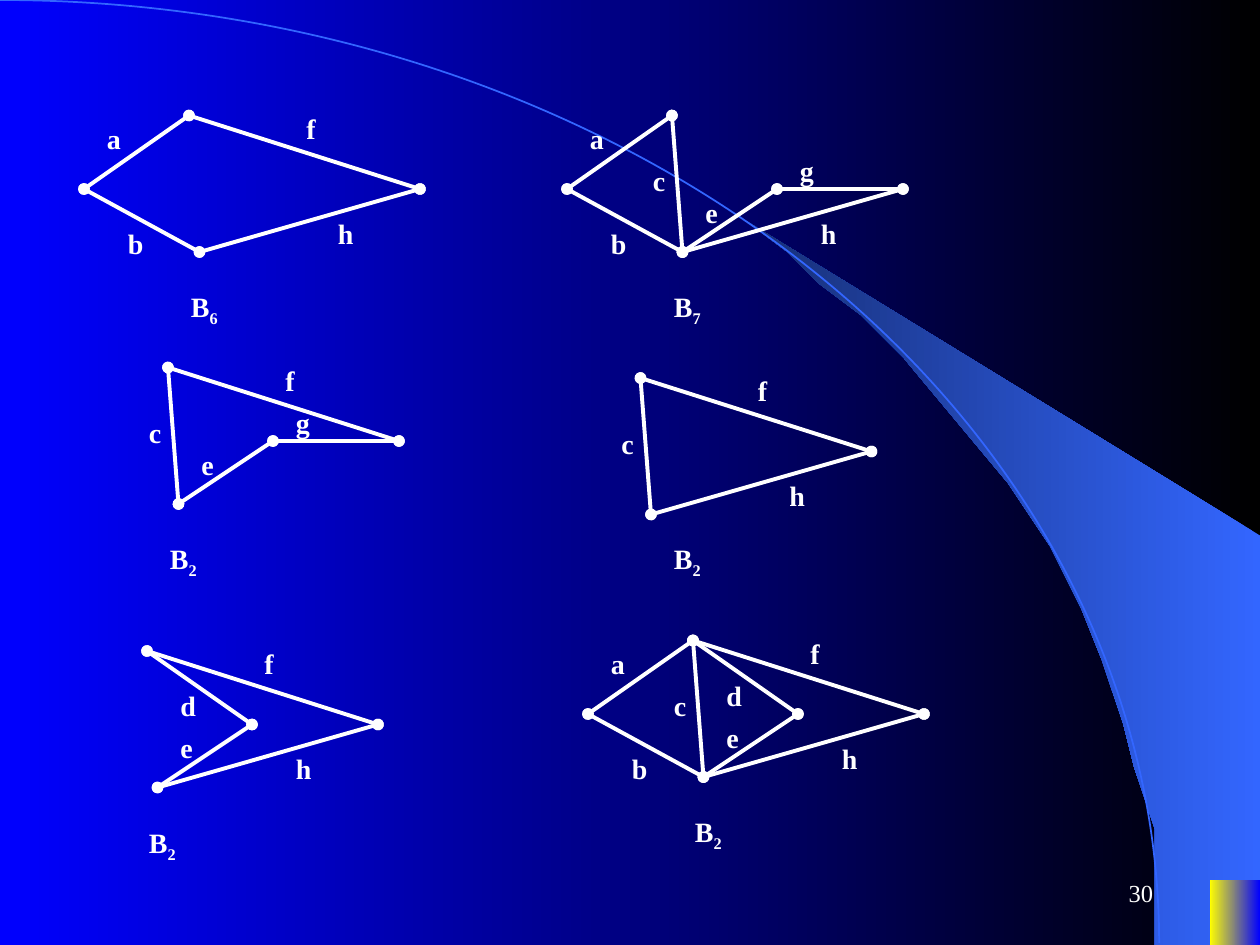
import lxml.etree
import pptx
import pptx.dml.color
import pptx.enum.shapes
import pptx.enum.text
import pptx.oxml.ns
import pptx.util

WHITE = pptx.dml.color.RGBColor(0xFF, 0xFF, 0xFF)
BLACK = pptx.dml.color.RGBColor(0x00, 0x00, 0x00)
BLUE = pptx.dml.color.RGBColor(0x00, 0x00, 0xFF)
YELLOW = pptx.dml.color.RGBColor(0xFF, 0xFF, 0x00)
SKY = pptx.dml.color.RGBColor(0x33, 0x66, 0xFF)
NAVY = pptx.dml.color.RGBColor(0x17, 0x2F, 0x75)

FONT = "Times New Roman"
COLUMNS, ROWS = 120, 90

VERTICES = {
    "left": (0, 7),
    "top": (10, 0),
    "bottom": (11, 13),
    "middle": (20, 7),
    "right": (32, 7),
}
EDGES = {
    "a": ("top", "left", (1, 0)),
    "b": ("left", "bottom", (3, 10)),
    "c": ("top", "bottom", (7, 4)),
    "d": ("top", "middle", (12, 3)),
    "e": ("middle", "bottom", (12, 7)),
    "f": ("top", "right", (20, -1)),
    "g": ("middle", "right", (21, 3)),
    "h": ("right", "bottom", (23, 9)),
}
CAPTION = (9, 16)
GRAPHS = [
    ((8, 11), "abfh", "6", CAPTION),
    ((56, 61), "abcdefh", "2", CAPTION),
    ((6, 35), "cefg", "2", CAPTION),
    ((54, 11), "abcegh", "7", CAPTION),
    ((51, 36), "cfh", "2", (12, 15)),
    ((4, 62), "defh", "2", CAPTION),
]
SWOOSH = [
    (110.4, 89.8), (119.9, 89.9), (119.9, 50.8), (70.7, 20.8), (74.9, 23.9),
    (78.4, 26.6), (82.2, 30), (85.9, 33.6), (91.4, 39.6), (96.4, 46.1),
    (99.8, 51.7), (103, 57.5), (105.4, 63.4), (107.2, 68.6), (108.4, 73.1),
    (109.6, 78.7), (110, 83.5),
]


class GraphPage:
    def __init__(self, deck):
        self.page = deck.slides.add_slide(deck.slide_layouts[6])
        self.cell = deck.slide_width // COLUMNS

    def grid(self, *lengths):
        return [round(length * self.cell) for length in lengths]

    def gradient(self, fill, start, end):
        fill.gradient()
        fill.gradient_angle = 180
        for stop, color, position in zip(fill.gradient_stops, (start, end), (0, 1)):
            stop.color.rgb = color
            stop.position = position

    def filled(self, shape, start, end):
        shape.shadow.inherit = False
        self.gradient(shape.fill, start, end)
        shape.line.fill.background()

    def swoosh(self, points):
        builder = self.page.shapes.build_freeform(*points[0], scale=self.cell)
        builder.add_line_segments(points[1:], close=True)
        self.filled(builder.convert_to_shape(), SKY, NAVY)

    def arc(self, *area):
        arc = self.page.shapes.add_shape(
            pptx.enum.shapes.MSO_SHAPE.ARC, *self.grid(*area))
        arc.shadow.inherit = False
        arc.fill.background()
        arc.line.color.rgb = SKY
        arc.line.width = pptx.util.Pt(1)

    def block(self, *area):
        block = self.page.shapes.add_shape(
            pptx.enum.shapes.MSO_SHAPE.RECTANGLE, *self.grid(*area))
        self.filled(block, BLUE, YELLOW)

    def edge(self, shapes, start, end):
        edge = shapes.add_connector(
            pptx.enum.shapes.MSO_CONNECTOR.STRAIGHT, *self.grid(*start, *end))
        edge.line.color.rgb = WHITE
        edge.line.width = pptx.util.Pt(2.25)
        outline = edge.line._get_or_add_ln()
        for name in ("a:headEnd", "a:tailEnd"):
            lxml.etree.SubElement(outline, pptx.oxml.ns.qn(name), type="oval")
        lxml.etree.SubElement(
            edge._element.spPr, pptx.oxml.ns.qn("a:effectLst"))

    def text(self, shapes, area, words, size=16, bold=True, subscript=""):
        box = shapes.add_textbox(*self.grid(*area))
        box.text_frame.word_wrap = True
        para = box.text_frame.paragraphs[0]
        para.text = words
        if subscript:
            lower = para.add_run()
            lower.text = subscript
            lower.font._element.set("baseline", "-25000")
        for span in para.runs:
            span.font.name = FONT
            span.font.size = pptx.util.Pt(size)
            span.font.bold = bold
            span.font.color.rgb = WHITE
        return box

    def graph(self, origin, edges, number, caption):
        def place(offset):
            return origin[0] + offset[0], origin[1] + offset[1]

        shapes = self.page.shapes.add_group_shape().shapes
        for name in edges:
            start, end, _ = EDGES[name]
            self.edge(shapes, place(VERTICES[start]), place(VERTICES[end]))
        self.text(shapes, (*place(caption), 9, 4.9), "B", subscript=number)
        for name in edges:
            self.text(shapes, (*place(EDGES[name][2]), 5.2, 4.4), name)

    def page_number(self, number):
        box = self.text(self.page.shapes, (86, 82, 25, 6), number, 14, False)
        box.text_frame.vertical_anchor = pptx.enum.text.MSO_ANCHOR.MIDDLE
        box.text_frame.paragraphs[0].alignment = pptx.enum.text.PP_ALIGN.RIGHT


def main():
    deck = pptx.Presentation()
    deck.slide_width = pptx.util.Inches(10)
    deck.slide_height = pptx.util.Inches(7.5)
    sheet = GraphPage(deck)
    sheet.gradient(sheet.page.background.fill, BLACK, BLUE)
    sheet.swoosh(SWOOSH)
    sheet.arc(-110.4, 0, 220.8, 179.6)
    sheet.block(115.2, 83.8, 4.8, ROWS - 83.8)
    for graph in GRAPHS:
        sheet.graph(*graph)
    sheet.page_number("30")
    deck.save("out.pptx")


if __name__ == "__main__":
    main()
